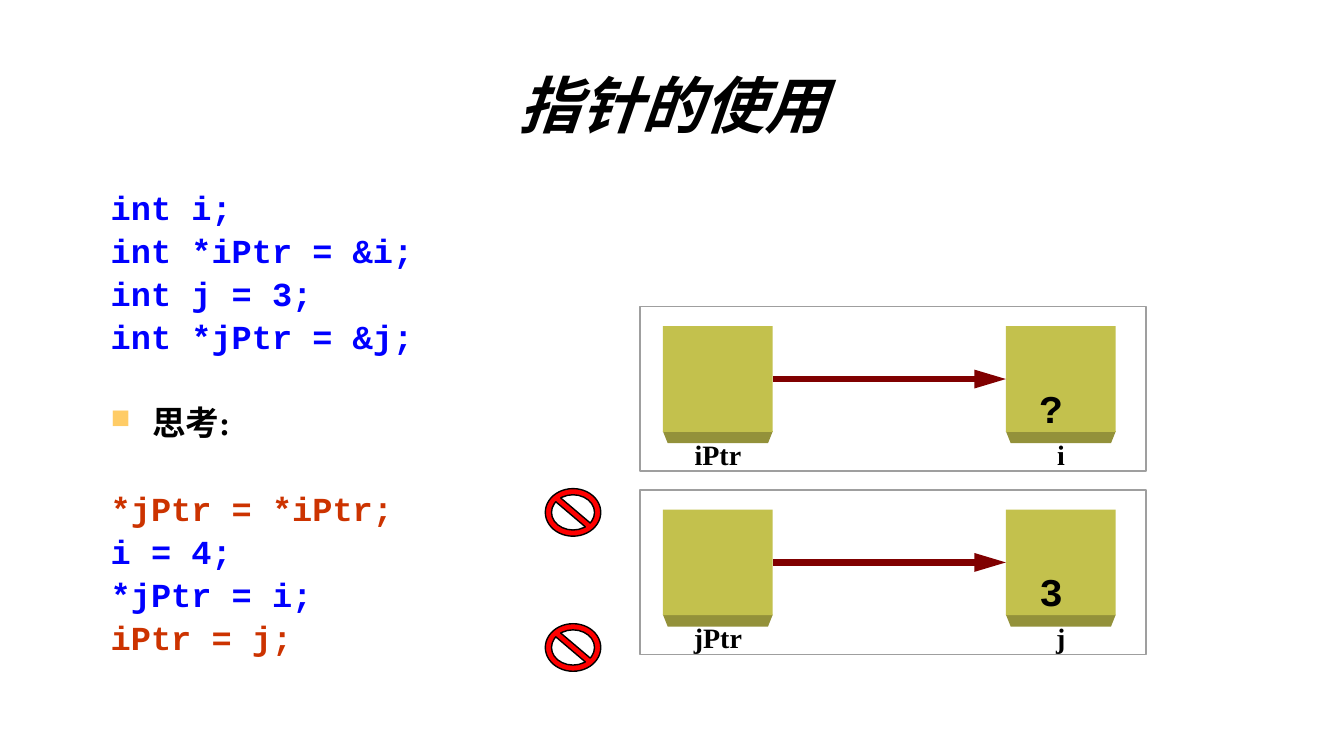
from dataclasses import dataclass
from lxml.etree import SubElement
from pptx import Presentation
from pptx.dml.color import RGBColor
from pptx.enum.shapes import MSO_CONNECTOR, MSO_SHAPE
from pptx.enum.text import MSO_ANCHOR, PP_ALIGN
from pptx.oxml.ns import qn
from pptx.util import Pt


@dataclass(frozen=True)
class Theme:
    black: str = "000000"
    code: str = "0000FF"
    wrong: str = "CC3300"
    bullet: str = "FFCC66"
    sign: str = "FF0000"
    frame: str = "9F9F9F"
    arrow: str = "800000"
    cell: str = "C3C14D"
    cell_edge: str = "93913A"
    serif: str = "Times New Roman"
    mono: str = "Courier New"
    title_size: float = 44
    value_size: float = 28
    code_size: float = 24
    label_size: float = 20
    line_height: float = 30.7


THEME = Theme()
ROW_STEP = 131
CODE_LINES = [
    ("int i;", THEME.code, 0),
    ("int *iPtr = &i;", THEME.code, 0),
    ("int j = 3;", THEME.code, 0),
    ("int *jPtr = &j;", THEME.code, 0),
    ("思考:", THEME.black, 1),
    ("*jPtr = *iPtr;", THEME.wrong, 1),
    ("i = 4;", THEME.code, 0),
    ("*jPtr = i;", THEME.code, 0),
    ("iPtr = j;", THEME.wrong, 0),
]


def write(para, text, size, font, color=THEME.black, italic=False, align=PP_ALIGN.LEFT):
    para.alignment = align
    span = para.add_run()
    span.text = text
    span.font.size = Pt(size)
    span.font.name = font
    span.font.bold = True
    span.font.italic = italic
    span.font.color.rgb = RGBColor.from_string(color)
    return span


def add_box(shapes, left, top, width, height):
    box = shapes.add_textbox(Pt(left), Pt(top), Pt(width), Pt(height))
    box.text_frame.word_wrap = True
    return box


def add_preset(shapes, kind, left, top, width, height, fill=None, line=None):
    shape = shapes.add_shape(kind, Pt(left), Pt(top), Pt(width), Pt(height))
    shape.shadow.inherit = False
    if fill:
        shape.fill.solid()
        shape.fill.fore_color.rgb = RGBColor.from_string(fill)
    else:
        shape.fill.background()
    if line:
        shape.line.color.rgb = RGBColor.from_string(line)
        shape.line.width = Pt(1)
    else:
        shape.line.fill.background()
    return shape


def add_title(page, text):
    box = add_box(page.shapes, 71, 45, 819, 66)
    box.text_frame.vertical_anchor = MSO_ANCHOR.MIDDLE
    para = box.text_frame.paragraphs[0]
    para.line_spacing = 0.85
    span = write(para, text, THEME.title_size, THEME.serif, italic=True, align=PP_ALIGN.CENTER)
    effects = SubElement(span.font._element, qn("a:effectLst"))
    span.font._element.find(qn("a:solidFill")).addnext(effects)
    shadow = SubElement(effects, qn("a:outerShdw"), dist="35921", dir="2700000")
    SubElement(shadow, qn("a:srgbClr"), val=THEME.black)


def add_bullet(para):
    properties = para._p.get_or_add_pPr()
    color = SubElement(properties, qn("a:buClr"))
    SubElement(color, qn("a:srgbClr"), val=THEME.bullet)
    SubElement(properties, qn("a:buSzPct"), val="80000")
    SubElement(properties, qn("a:buChar"), char="■")


def add_code(page):
    frame = add_box(page.shapes, 72, 128, 400, 363).text_frame
    for index, (text, color, gap_lines) in enumerate(CODE_LINES):
        para = frame.add_paragraph() if index else frame.paragraphs[0]
        properties = para._p.get_or_add_pPr()
        properties.set("marL", str(Pt(29.5)))
        properties.set("indent", str(Pt(-29.5)))
        is_prompt = color == THEME.black
        if is_prompt:
            add_bullet(para)
        para.line_spacing = Pt(THEME.line_height)
        para.space_before = Pt(gap_lines * THEME.line_height)
        write(para, text, THEME.code_size, THEME.serif if is_prompt else THEME.mono, color)


def add_sign(page, top):
    sign = add_preset(page.shapes, MSO_SHAPE.NO_SYMBOL, 389.5, top, 39.6, 34,
                      THEME.sign, THEME.black)
    sign.adjustments[0] = 0.13


def add_cell(shapes, left, top, name, value=""):
    edge = add_preset(shapes, MSO_SHAPE.TRAPEZOID, left, top + 75, 78.5, 8.6, THEME.cell_edge)
    edge.rotation = 180
    edge.adjustments[0] = 0.4
    cell = add_preset(shapes, MSO_SHAPE.RECTANGLE, left, top, 78.5, 75.5, THEME.cell)
    if value:
        frame = cell.text_frame
        frame.vertical_anchor = MSO_ANCHOR.BOTTOM
        frame.margin_left = Pt(24)
        frame.margin_bottom = Pt(0.5)
        write(frame.paragraphs[0], value, THEME.value_size, THEME.mono)
    label = add_box(shapes, left + 13, top + 76, 52.6, 31)
    write(label.text_frame.paragraphs[0], name, THEME.label_size, THEME.serif,
          align=PP_ALIGN.CENTER)
    return cell


def add_arrow(shapes, source, target):
    arrow = shapes.add_connector(MSO_CONNECTOR.STRAIGHT, 0, 0, 0, 0)
    arrow.begin_connect(source, 3)
    arrow.end_connect(target, 1)
    arrow.line.color.rgb = RGBColor.from_string(THEME.arrow)
    arrow.line.width = Pt(4.5)
    SubElement(arrow.line._get_or_add_ln(), qn("a:tailEnd"), type="triangle", w="med", len="lg")
    SubElement(arrow._element.spPr, qn("a:effectLst"))


def add_memory(page, top, pointer, variable, value):
    shapes = page.shapes.add_group_shape().shapes
    add_preset(shapes, MSO_SHAPE.RECTANGLE, 457.2, top, 361.5, 117.5, line=THEME.frame)
    source = add_cell(shapes, 473.5, top + 14, pointer)
    target = add_cell(shapes, 718.5, top + 14, variable, value)
    add_arrow(shapes, source, target)


def main():
    deck = Presentation()
    deck.slide_width, deck.slide_height = Pt(960), Pt(540)
    page = deck.slides.add_slide(deck.slide_layouts[6])
    add_title(page, "指针的使用")
    add_code(page)
    for top in (349, 445.5):
        add_sign(page, top)
    for row, cells in enumerate([("iPtr", "i", "?"), ("jPtr", "j", "3")]):
        add_memory(page, 219 + row * ROW_STEP, *cells)
    deck.save("out.pptx")


if __name__ == "__main__":
    main()
